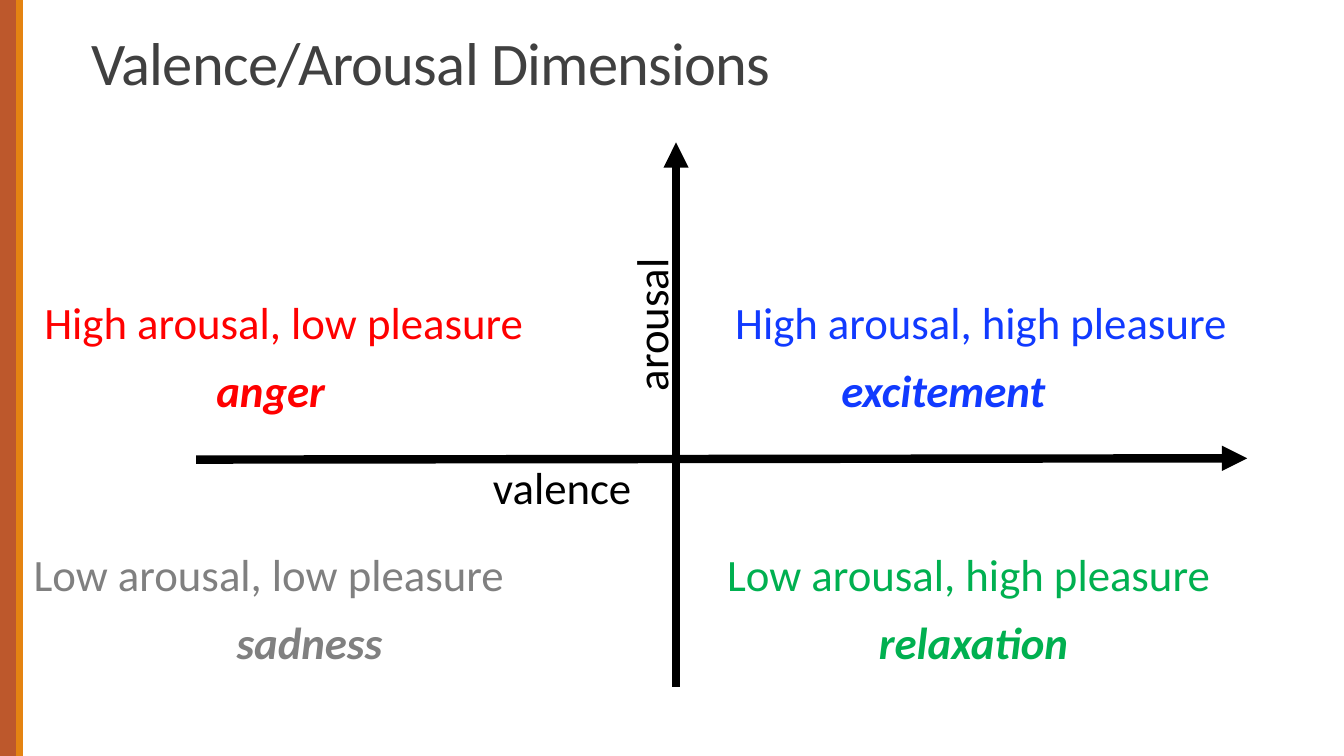
from lxml.etree import SubElement
from pptx import Presentation
from pptx.dml.color import RGBColor
from pptx.enum.shapes import MSO_CONNECTOR, MSO_SHAPE
from pptx.enum.text import MSO_ANCHOR, MSO_AUTO_SIZE, PP_ALIGN
from pptx.oxml.ns import qn
from pptx.util import Inches, Pt

THEME = {
    "font": "Calibri", "title_size": 32.4, "text_size": 24, "axis_width": 4.5,
    "title": "404040", "axis": "000000", "rust": "BD582C", "orange": "E48312",
    "red": "FF0000", "blue": "113AFF", "gray": "808080", "green": "00B050",
}
WIDTH = 10
HEIGHT = WIDTH * 9 / 16
TITLE = "Valence/Arousal Dimensions"
BARS = [("rust", 0, 0.17), ("orange", 0.12, 0.05)]  # colour, left, width

# Each column: left, width, then (text, colour, indent) per line
COLUMNS = [
    (0.25, 4.7, [
        ("High arousal, low pleasure", "red", 0.08),
        ("anger", "red", 1.36),
        ("Low arousal, low pleasure", "gray", 0),
        ("sadness", "gray", 1.51),
    ]),
    (5.41, 4.59, [
        ("High arousal, high pleasure", "blue", 0.06),
        ("excitement", "blue", 0.85),
        ("Low arousal, high pleasure", "green", 0),
        ("relaxation", "green", 1.13),
    ]),
]
LINE_STYLES = [(0, False), (9, True), (71, False), (9, True)]  # space before, emphasis
AXES = [(1.46, 3.42, 9.28, 3.41), (5.03, 5.11, 5.03, 1.06)]
AXIS_LABELS = [("arousal", (4.24, 2.16, 1.2, 0.5), 270), ("valence", (3.57, 3.37, 1.24, 0.5), 0)]


def rgb(name):
    return RGBColor.from_string(THEME[name])


def place(shape, left, top, width, height):
    box = {"left": left, "top": top, "width": width, "height": height}
    for name, value in box.items():
        setattr(shape, name, Inches(value))


def add_run(p, text, color, size="text_size", **styles):
    r = p.add_run()
    r.text = text
    r.font.color.rgb = rgb(color)
    for name, value in {"name": THEME["font"], "size": Pt(THEME[size]), **styles}.items():
        setattr(r.font, name, value)
    return r


def add_bars(s):
    for color, left, width in BARS:
        bar = s.shapes.add_shape(MSO_SHAPE.RECTANGLE, Inches(left), 0, Inches(width), Inches(HEIGHT))
        bar.shadow.inherit = False
        bar.fill.solid()
        bar.fill.fore_color.rgb = rgb(color)
        bar.line.fill.background()


def add_title(s):
    place(s.shapes.title, 0.58, 0.22, 9.42, 0.56)
    tf = s.shapes.title.text_frame
    tf.auto_size = MSO_AUTO_SIZE.NONE
    tf.vertical_anchor = MSO_ANCHOR.BOTTOM
    p = tf.paragraphs[0]
    p.alignment, p.line_spacing = PP_ALIGN.LEFT, 0.85
    r = add_run(p, TITLE, "title", "title_size")
    r.font._element.set("spc", "-40")


def add_quadrants(s):
    for body, (left, width, lines) in zip(list(s.placeholders)[1:], COLUMNS):
        place(body, left, 2.19, width, 2.92)
        tf = body.text_frame
        tf.auto_size = MSO_AUTO_SIZE.NONE
        tf.margin_left = tf.margin_right = 0
        for i, ((text, color, indent), (before, emphasis)) in enumerate(zip(lines, LINE_STYLES)):
            p = tf.add_paragraph() if i else tf.paragraphs[0]
            pPr = p._p.get_or_add_pPr()
            pPr.set("marL", str(Inches(indent)))
            pPr.set("indent", "0")
            SubElement(pPr, qn("a:buNone"))
            spacing = {"line_spacing": 0.9, "space_before": Pt(before), "space_after": Pt(1.5)}
            for name, value in spacing.items():
                setattr(p, name, value)
            add_run(p, text, color, bold=emphasis, italic=emphasis)


def add_axes(s):
    for ends in AXES:
        axis = s.shapes.add_connector(MSO_CONNECTOR.STRAIGHT, *map(Inches, ends))
        axis.line.color.rgb = rgb("axis")
        axis.line.width = Pt(THEME["axis_width"])
        SubElement(axis.line._get_or_add_ln(), qn("a:tailEnd"), type="triangle")
        SubElement(axis._element.spPr, qn("a:effectLst"))
    for text, box, rotation in AXIS_LABELS:
        label = s.shapes.add_textbox(*map(Inches, box))
        label.rotation = rotation
        label.text_frame.word_wrap = False
        add_run(label.text_frame.paragraphs[0], text, "axis")


def main():
    prs = Presentation()
    prs.slide_width, prs.slide_height = Inches(WIDTH), Inches(HEIGHT)
    s = prs.slides.add_slide(prs.slide_layouts[3])  # title and two bodies
    add_bars(s)
    add_title(s)
    add_quadrants(s)
    add_axes(s)
    prs.save("out.pptx")


if __name__ == "__main__":
    main()
